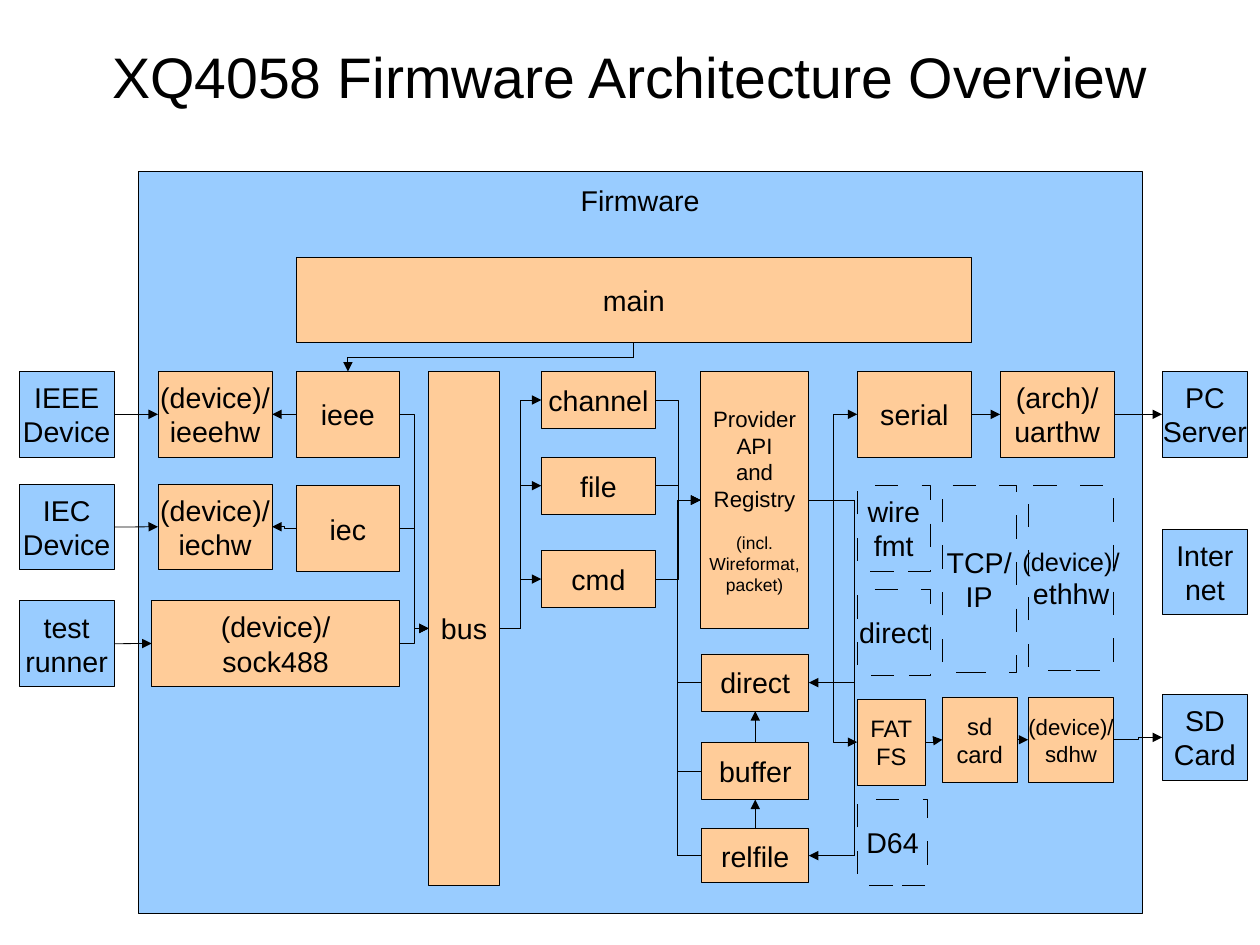
from lxml.etree import SubElement
from pptx import Presentation
from pptx.dml.color import RGBColor
from pptx.enum.shapes import MSO_CONNECTOR as Link, MSO_SHAPE as Preset
from pptx.enum.text import MSO_ANCHOR as Anchor, MSO_AUTO_SIZE as AutoSize, PP_ALIGN as Align
from pptx.oxml.ns import qn
from pptx.util import Pt

BLUE = RGBColor(0x99, 0xCC, 0xFF)
ORANGE = RGBColor(0xFF, 0xCC, 0x99)
BLACK = RGBColor(0, 0, 0)
FONT = "Arial"
LINE_WIDTH = 0.5

TITLE = "XQ4058 Firmware Architecture Overview"
FRAME = ("Firmware", 87, 108, 632.5, 467.7)

# Boxes: key: (lines, left, top, width, height), text size 18 unless listed below
OUTSIDE = {
    "ieee device": ("IEEE\nDevice", 12, 234, 60, 54),
    "iec device": ("IEC\nDevice", 12, 305, 60, 54),
    "test runner": ("test\nrunner", 12, 378.5, 60, 54),
    "pc server": ("PC\nServer", 732, 234, 54, 54),
    "internet": ("Inter\nnet", 732, 333.3, 54, 54),
    "sd slot": ("SD\nCard", 732, 437.5, 54, 54),
}
MODULES = {
    "main": ("main", 186.5, 162, 425.5, 53.7),
    "ieeehw": ("(device)/\nieeehw", 99.5, 234, 72, 54),
    "ieee": ("ieee", 186.5, 234, 65.3, 54),
    "iechw": ("(device)/\niechw", 99.5, 305, 72, 53.7),
    "iec": ("iec", 186.5, 306, 65.3, 54),
    "sock488": ("(device)/\nsock488", 95.5, 378.5, 156.3, 53.7),
    "bus": ("bus", 270, 234, 44.6, 323.7),
    "channel": ("channel", 341, 234, 72, 36),
    "file": ("file", 341, 288, 72, 36),
    "cmd": ("cmd", 341, 346.8, 72, 36),
    "provider": ("Provider\nAPI\nand\nRegistry\n(incl.\nWireformat,\npacket)", 441.2, 234, 68.3, 162),
    "direct": ("direct", 442, 412, 67.5, 36),
    "buffer": ("buffer", 442, 467.7, 67.5, 36),
    "relfile": ("relfile", 442, 522, 67.5, 34),
    "serial": ("serial", 540, 234, 72, 54),
    "uarthw": ("(arch)/\nuarthw", 630, 234, 72, 54),
    "fatfs": ("FAT\nFS", 540, 440.5, 43, 54),
    "sd card": ("sd\ncard", 593.7, 439, 47, 54),
    "sdhw": ("(device)/\nsdhw", 647.7, 439, 54, 54),
}
PLANNED = {
    "wire format": ("wire\nfmt", 540, 305.8, 46, 54),
    "direct wire": ("direct", 540, 371.3, 46.3, 54),
    "tcp/ip": ("TCP/\nIP", 593.7, 305.8, 46.3, 117.5),
    "ethhw": ("(device)/\nethhw", 647.7, 305.8, 54, 116.7),
    "d64": ("D64", 540, 503.7, 44.5, 54),
}
LINE_SIZES = {
    "provider": [14] * 4 + [11] * 3,
    "fatfs": [15, 15],
    "sd card": [15, 15],
    "sdhw": [14, 14],
    "ethhw": [16, 18],
}

# Arrows between the facing sides of two boxes
FLOWS = [
    ("ieee device", "ieeehw"), ("iec device", "iechw"), ("test runner", "sock488"),
    ("ieee", "ieeehw"), ("iec", "iechw"),
    ("ieee", "bus"), ("iec", "bus"), ("sock488", "bus"),
    ("bus", "channel"), ("bus", "file"), ("bus", "cmd"),
    ("channel", "provider"), ("file", "provider"), ("cmd", "provider"),
    ("provider", "serial"), ("provider", "fatfs"),
    ("serial", "uarthw"), ("uarthw", "pc server"),
    ("fatfs", "sd card"), ("sd card", "sdhw"), ("sdhw", "sd slot"),
]
RISING = [("buffer", "direct"), ("relfile", "buffer")]
LEFT_RAIL, RIGHT_RAIL, MAIN_RAIL = 427, 538.2, 225

# A page of 28 by 21 centimetres
deck = Presentation()
deck.slide_width, deck.slide_height = Pt(793.7), Pt(595.28)
page = deck.slides.add_slide(deck.slide_layouts[5])


def format_span(span, size):
    for name, value in {"name": FONT, "size": Pt(size)}.items():
        setattr(span.font, name, value)
    span.font.color.rgb = BLACK


def add_box(content, fill, sizes=None, dashed=False):
    text, *place = content
    box = page.shapes.add_shape(Preset.RECTANGLE, *map(Pt, place))
    box.shadow.inherit = False
    box.fill.solid()
    box.fill.fore_color.rgb = fill
    box.line.color.rgb = BLACK
    box.line.width = Pt(LINE_WIDTH)
    if dashed:
        dashes = SubElement(box.line._get_or_add_ln(), qn("a:custDash"))
        SubElement(dashes, qn("a:ds"), d="2880000", sp="2880000")
    frame = box.text_frame
    for name, value in {"word_wrap": False, "vertical_anchor": Anchor.MIDDLE}.items():
        setattr(frame, name, value)
    lines = text.split("\n")
    sizes = sizes or [18] * len(lines)
    for index, (line, size) in enumerate(zip(lines, sizes)):
        para = frame.paragraphs[0] if index == 0 else frame.add_paragraph()
        para.alignment = Align.CENTER
        span = para.add_run()
        span.text = line
        format_span(span, size)
        if line == "(incl.":
            para.space_before = Pt(12.5)
    return box


def add_line(start, end, kind=Link.STRAIGHT, arrow=False):
    line = page.shapes.add_connector(kind, *map(Pt, (*start, *end)))
    line.line.color.rgb = BLACK
    line.line.width = Pt(LINE_WIDTH)
    if arrow:
        SubElement(line.line._get_or_add_ln(), qn("a:tailEnd"), type="triangle")
    SubElement(line._element.spPr, qn("a:effectLst"))
    return line


def side(key, name):
    _, left, top, width, height = places[key]
    across, down = {"left": (0, 0.5), "right": (1, 0.5), "top": (0.5, 0), "bottom": (0.5, 1)}[name]
    return left + across * width, top + down * height


# Title
title = page.shapes.title
for name, value in {"left": 39.5, "top": 23.5, "width": 714.5, "height": 48}.items():
    setattr(title, name, Pt(value))
heading = title.text_frame
for name in ("margin_left", "margin_right", "margin_top", "margin_bottom"):
    setattr(heading, name, 0)
for name, value in {"auto_size": AutoSize.NONE, "vertical_anchor": Anchor.MIDDLE}.items():
    setattr(heading, name, value)
heading.paragraphs[0].alignment = Align.CENTER
title_span = heading.paragraphs[0].add_run()
title_span.text = TITLE
format_span(title_span, 36)

# Firmware frame and boxes
firmware = add_box(FRAME, BLUE)
firmware.text_frame.vertical_anchor = Anchor.TOP
firmware.text_frame.margin_top = Pt(7.2)
places = {**OUTSIDE, **MODULES, **PLANNED}
boxes = {
    key: add_box(content, ORANGE if key in MODULES else BLUE, LINE_SIZES.get(key), key in PLANNED)
    for key, content in places.items()
}

# Sideways arrows, bent where the two sides are not level
SITES = {"left": 1, "right": 3}
for source, target in FLOWS:
    ahead = places[source][1] < places[target][1]
    leave, enter = ("right", "left") if ahead else ("left", "right")
    start, end = side(source, leave), side(target, enter)
    kind = Link.ELBOW if abs(start[1] - end[1]) >= 1 else Link.STRAIGHT
    flow = add_line(start, end, kind, arrow=True)
    flow.begin_connect(boxes[source], SITES[leave])
    flow.end_connect(boxes[target], SITES[enter])

# Upward arrows
for source, target in RISING:
    add_line(side(source, "top"), side(target, "bottom"), arrow=True)

# Main controls ieee
drop, landing = side("main", "bottom"), side("ieee", "top")
add_line(drop, (drop[0], MAIN_RAIL))
add_line((drop[0], MAIN_RAIL), (landing[0], MAIN_RAIL))
add_line((landing[0], MAIN_RAIL), landing, arrow=True)

# Rails that join the provider with the modules below it
for name, rail, sources, targets in (
    ("left", LEFT_RAIL, ("direct", "buffer", "relfile"), ()),
    ("right", RIGHT_RAIL, (), ("direct", "relfile")),
):
    port = side("provider", name)
    add_line(port, (rail, port[1]))
    add_line((rail, port[1]), (rail, side("relfile", name)[1]))
    for key in sources + targets:
        end = side(key, name)
        add_line((rail, end[1]), end, arrow=key in targets)

deck.save("out.pptx")
